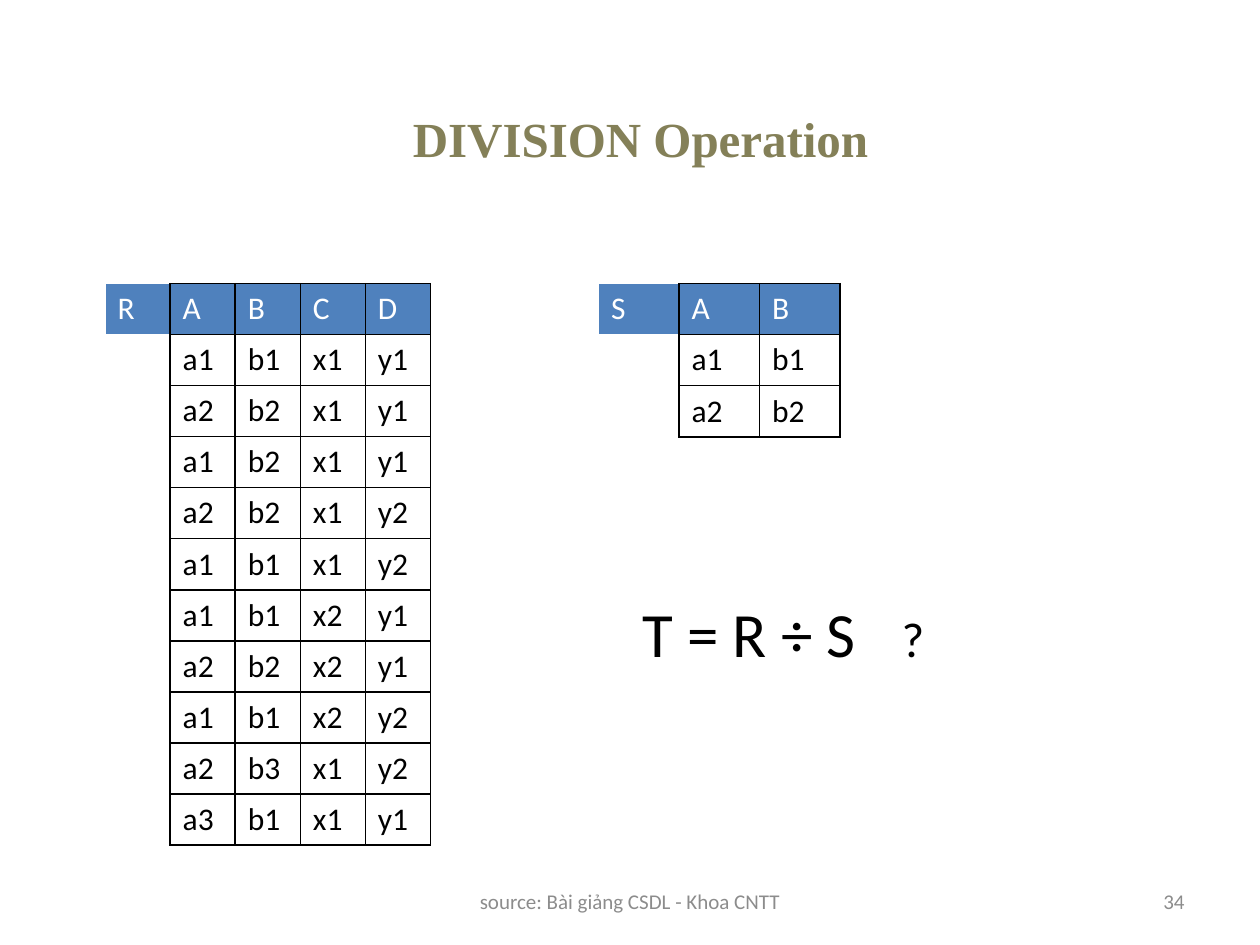
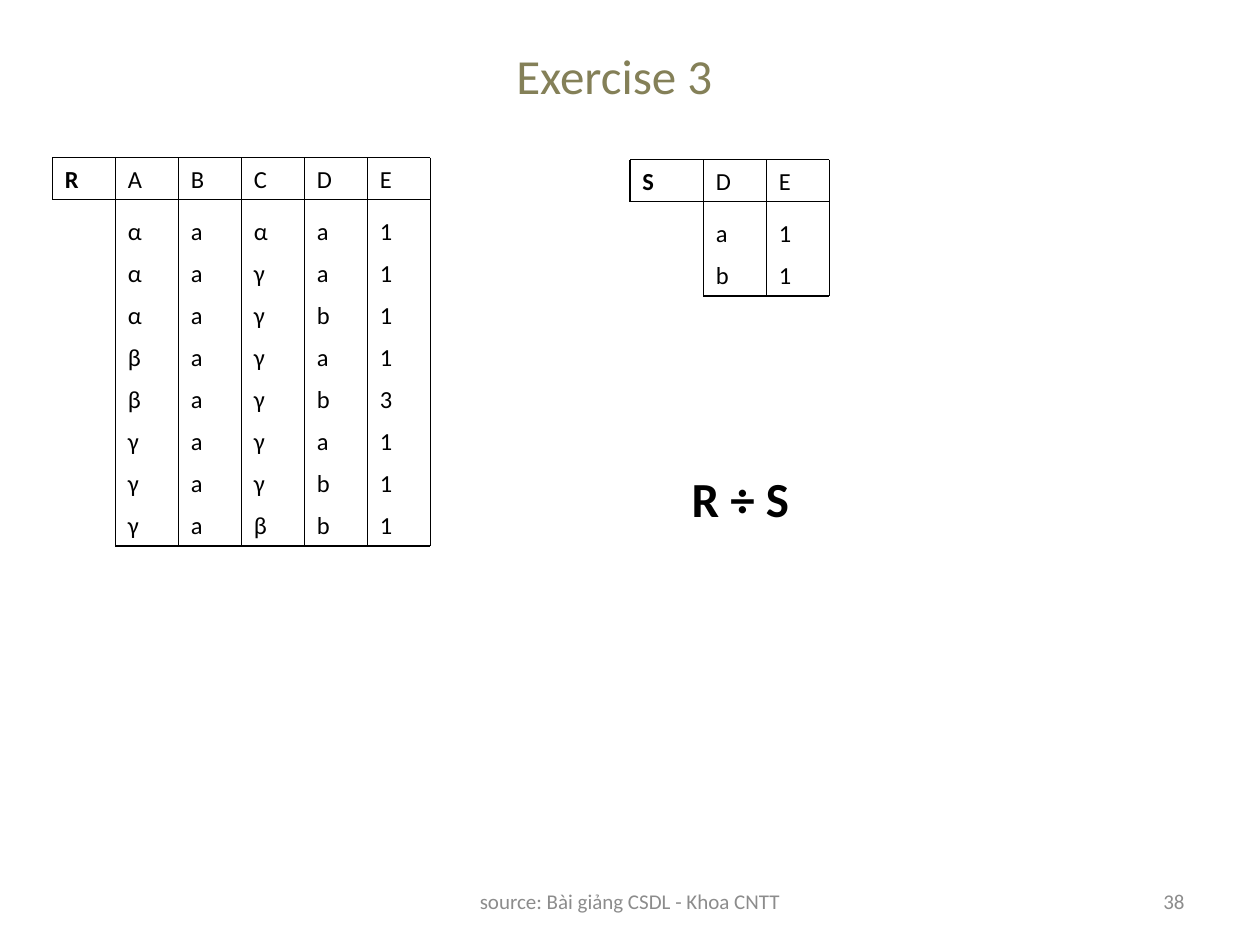
"""Build two slides on the relational division operation."""
from lxml.etree import SubElement
from pptx import Presentation
from pptx.dml.color import RGBColor
from pptx.enum.shapes import MSO_CONNECTOR
from pptx.enum.text import MSO_ANCHOR, PP_ALIGN
from pptx.oxml.ns import qn
from pptx.util import Pt

PX = 7620
BLACK, WHITE, BLUE = "000000", "FFFFFF", "4F81BD"
OLIVE, GRAY = "848058", "8C8C8C"
BODY_FONT, HEADING_FONT = "Calibri", "Times New Roman"
rgb = RGBColor.from_string


def style(paragraph, size, color=BLACK, bold=False, name=BODY_FONT, align=PP_ALIGN.LEFT):
    paragraph.alignment = align
    font = paragraph.font
    font.size, font.bold, font.name = Pt(size), bold, name
    font.color.rgb = rgb(color)


def add_text(shapes, box, text, size, anchor=MSO_ANCHOR.TOP, **look):
    frame = shapes.add_textbox(*[length * PX for length in box]).text_frame
    frame.word_wrap = True
    frame.vertical_anchor = anchor
    paragraph = frame.paragraphs[0]
    paragraph.text = text
    style(paragraph, size, **look)
    return paragraph


presentation = Presentation()
presentation.slide_width, presentation.slide_height = 1200 * PX, 900 * PX
title_only = presentation.slide_layouts[5]

pages = [
    ("DIVISION Operation", (50, 90, 1120, 82), True, HEADING_FONT, "34"),
    ("Exercise 3", (25, 12, 1120, 118), False, BODY_FONT, "38"),
]
for title_text, box, bold, font_name, number in pages:
    slide = presentation.slides.add_slide(title_only)
    title = slide.shapes.title
    title.left, title.top, title.width, title.height = [length * PX for length in box]
    title.text_frame.text = title_text
    style(title.text_frame.paragraphs[0], 28, OLIVE, bold, font_name, PP_ALIGN.CENTER)
    add_text(slide.shapes, (410, 834, 380, 48), "source: Bài giảng CSDL - Khoa CNTT", 12,
             MSO_ANCHOR.MIDDLE, color=GRAY, align=PP_ALIGN.CENTER)
    add_text(slide.shapes, (860, 834, 280, 48), number, 12,
             MSO_ANCHOR.MIDDLE, color=GRAY, align=PP_ALIGN.RIGHT)

division, exercise = presentation.slides

relations = [
    ((570, 270, 230, 146), ["S A B", "a1 b1", "a2 b2"]),
    ((100, 270, 310, 535), [
        "R A B C D", "a1 b1 x1 y1", "a2 b2 x1 y1", "a1 b2 x1 y1", "a2 b2 x1 y2",
        "a1 b1 x1 y2", "a1 b1 x2 y1", "a2 b2 x2 y1", "a1 b1 x2 y2", "a2 b3 x1 y2",
        "a3 b1 x1 y1"]),
]
for box, lines in relations:
    header, *body = [line.split() for line in lines]
    rows = [header] + [[""] + values for values in body]
    table = division.shapes.add_table(
        len(rows), len(header), *[length * PX for length in box]).table
    for row_index, values in enumerate(rows):
        for column_index, value in enumerate(values):
            cell = table.cell(row_index, column_index)
            cell.text = value
            style(cell.text_frame.paragraphs[0], 18, BLACK if row_index else WHITE)
            for side in "LRTB":
                dark = column_index > 0 or side == "R"
                border = SubElement(cell._tc.get_or_add_tcPr(), qn(f"a:ln{side}"), w="12700")
                fill = SubElement(border, qn("a:solidFill"))
                SubElement(fill, qn("a:srgbClr"), val=BLACK if dark else WHITE)
            if row_index:
                cell.fill.background()
            else:
                cell.fill.solid()
                cell.fill.fore_color.rgb = rgb(BLUE)
    table.cell(1, 0).merge(table.cell(len(rows) - 1, 0))

formula = add_text(division.shapes, (600, 560, 430, 85), "", 36)
formula.add_run().text = "T = R ÷ S"
gap = formula.add_run()
gap.text = " "
gap._r.get_or_add_rPr().set("spc", "1800")
question = formula.add_run()
question.text = "?"
question.font.size = Pt(28)

COLUMN, ROW, HEADER_GAP = 60, 40, 10
exercise_relations = [
    (50, 150, 60, "R", ["ABCDE", "αaαa1", "αaγa1", "αaγb1", "βaγa1", "βaγb3",
                        "γaγa1", "γaγb1", "γaβb1"]),
    (600, 152, 70, "S", ["DE", "a1", "b1"]),
]
for left, top, name_width, name, rows in exercise_relations:
    shapes = exercise.shapes.add_group_shape().shapes
    grid_left = left + name_width
    right = grid_left + COLUMN * len(rows[0])
    header_bottom = top + ROW
    bottom = top + HEADER_GAP + ROW * len(rows)
    add_text(shapes, (left, top, name_width, ROW), name, 14, bold=True)
    for row_index, values in enumerate(rows):
        row_top = top + ROW * row_index + (HEADER_GAP if row_index else 0)
        for column_index, value in enumerate(values):
            add_text(shapes, (grid_left + COLUMN * column_index, row_top, COLUMN, ROW), value, 14)
    rules = [
        (left, top, right, top),
        (left, header_bottom, right, header_bottom),
        (grid_left, bottom, right, bottom),
        (left, top, left, header_bottom),
    ]
    rules += [(x, top, x, bottom) for x in range(grid_left, right + 1, COLUMN)]
    for ends in rules:
        rule = shapes.add_connector(MSO_CONNECTOR.STRAIGHT, *[length * PX for length in ends])
        rule.line.color.rgb = rgb(BLACK)
        rule.line.width = Pt(1)
        SubElement(rule._element.spPr, qn("a:effectLst"))

add_text(exercise.shapes, (647, 440, 187, 68), "R ÷ S", 28, bold=True)

presentation.save("out.pptx")
